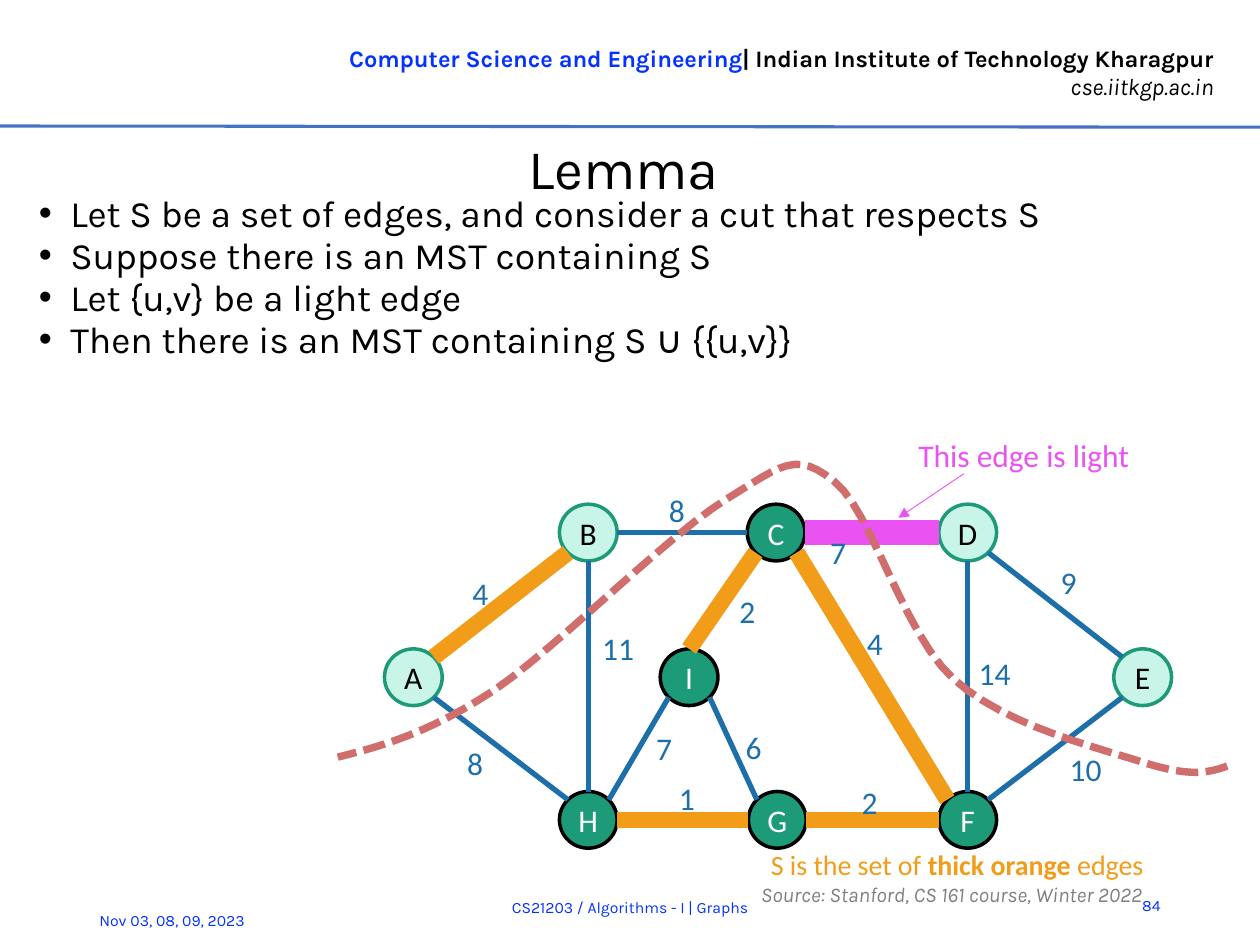
"""Builds a lecture slide on the cut lemma for minimum spanning trees."""
from lxml import etree
from pptx import Presentation
from pptx.dml.color import RGBColor
from pptx.enum.dml import MSO_LINE
from pptx.enum.shapes import MSO_CONNECTOR, MSO_SHAPE
from pptx.enum.text import MSO_ANCHOR, PP_ALIGN
from pptx.oxml.ns import qn
from pptx.util import Pt

STRAIGHT = MSO_CONNECTOR.STRAIGHT
ELLIPSE = MSO_SHAPE.OVAL
DASHED = MSO_LINE.SQUARE_DOT
TOP, MIDDLE = MSO_ANCHOR.TOP, MSO_ANCHOR.MIDDLE
LEFT, CENTER, RIGHT = PP_ALIGN.LEFT, PP_ALIGN.CENTER, PP_ALIGN.RIGHT

BLACK = RGBColor(0x00, 0x00, 0x00)
WHITE = RGBColor(0xFF, 0xFF, 0xFF)
GRAY = RGBColor(0x80, 0x80, 0x80)
BLUE = RGBColor(0x04, 0x32, 0xFF)
RULE_BLUE = RGBColor(0x44, 0x72, 0xC4)
EDGE_BLUE = RGBColor(0x1D, 0x6F, 0xA9)
ORANGE = RGBColor(0xF1, 0x9D, 0x19)
MAGENTA = RGBColor(0xEA, 0x53, 0xF1)
GREEN = RGBColor(0x1D, 0x9A, 0x78)
MINT = RGBColor(0xC8, 0xF5, 0xE8)
CUT_RED = RGBColor(0xCF, 0x6E, 0x6C)

NODE_WIDTH, NODE_HEIGHT = 33, 32.4
UPPER, MIDDLE_ROW, LOWER = 304.3, 387, 468.5
NODES = {
    "D": (553, UPPER, False), "C": (443.5, UPPER, True),
    "B": (336.2, UPPER, False), "A": (236.2, MIDDLE_ROW, False),
    "H": (336.2, LOWER, True), "G": (444.2, LOWER, True),
    "F": (553, LOWER, True), "I": (393.8, MIDDLE_ROW, True),
    "E": (653, MIDDLE_ROW, False),
}
DIAGONAL = 0.71
SIDES = {
    "N": (0, -1), "S": (0, 1), "W": (-1, 0), "E": (1, 0),
    "NW": (-DIAGONAL, -DIAGONAL), "NE": (DIAGONAL, -DIAGONAL),
    "SW": (-DIAGONAL, DIAGONAL), "SE": (DIAGONAL, DIAGONAL),
}
THIN, THICK, LIGHT = (EDGE_BLUE, 3), (ORANGE, 9.5), (MAGENTA, 14)
EDGES = [
    ("C", "SE", "F", "NW", THICK, "4", 488.2, 352.8),
    ("C", "E", "D", "W", LIGHT, "7", 467.3, 301),
    ("E", "NW", "D", "SE", THIN, "9", 599, 318.2),
    ("E", "SW", "F", "NE", THIN, "10", 604.1, 424.8),
    ("D", "S", "F", "N", THIN, "14", 552.2, 370.1),
    ("I", "SE", "G", "NW", THIN, "6", 419, 412.6),
    ("G", "E", "F", "W", THICK, "2", 485.3, 444.2),
    ("I", "N", "C", "SW", THICK, "2", 415.4, 334.8),
    ("B", "E", "C", "W", THIN, "8", 375.1, 277.2),
    ("A", "NE", "B", "SW", THICK, "4", 262.8, 324.7),
    ("A", "SE", "H", "NW", THIN, "8", 259.9, 421.9),
    ("G", "W", "H", "E", THICK, "1", 380.9, 441.4),
    ("I", "SW", "H", "NE", THIN, "7", 367.9, 413.3),
    ("H", "N", "B", "S", THIN, "11", 337, 355.7),
]
CUT_START = (701.3, 437.8)
CUT_CURVES = [
    ((691.2, 441.4), (681.1, 444.2), (655.2, 436.3)),
    ((629.3, 427.7), (575.3, 415.4), (545, 388.1)),
    ((515.5, 361.4), (498.2, 291.6), (476.6, 275)),
    ((455, 257.8), (447.8, 265), (415.4, 285.1)),
    ((383, 304.6), (319, 369.4), (282.2, 394.6)),
    ((244.8, 419), (218.9, 426.2), (193, 432.7)),
]
BULLETS = [
    "Let S be a set of edges, and consider a cut that respects S",
    "Suppose there is an MST containing S",
    "Let {u,v} be a light edge",
    "Then there is an MST containing S ∪ {{u,v}}",
]


def curve_points(start, curves, steps=12):
    """Return points along a chain of cubic Bézier curves."""
    points = [start]
    for first, second, end in curves:
        begin = points[-1]
        for step in range(1, steps + 1):
            t = step / steps
            u = 1 - t
            points.append(tuple(
                u**3 * a + 3 * u * u * t * b + 3 * u * t * t * c + t**3 * d
                for a, b, c, d in zip(begin, first, second, end)))
    return points


def node_point(name, side):
    """Return the point on one side of a node's outline."""
    x, y, _ = NODES[name]
    across, down = SIDES[side]
    return x + across * NODE_WIDTH / 2, y + down * NODE_HEIGHT / 2


class SlideWriter:
    """Holds the text style and the current slide."""

    def __init__(self, page, font="Karla", size=9, color=BLUE):
        self.page = page
        self.font, self.size, self.color = font, size, color

    def style(self, font, size=None, color=None, name=None, bold=False, italic=False):
        """Set a font, falling back on the default style."""
        font.name = name or self.font
        font.size = Pt(size or self.size)
        font.color.rgb = self.color if color is None else color
        font.bold, font.italic = bold, italic

    def text(self, place, lines, align=LEFT, anchor=TOP, wrap=True, **look):
        """Add a text box with one paragraph per line and return its paragraphs."""
        box = self.page.shapes.add_textbox(*map(Pt, place))
        frame = box.text_frame
        frame.text = "\n".join(lines)
        frame.word_wrap, frame.vertical_anchor = wrap, anchor
        for para in frame.paragraphs:
            para.alignment = align
            for span in para.runs:
                self.style(span.font, **look)
        return frame.paragraphs

    def bullets(self, place, lines, **look):
        """Add a bulleted list."""
        for index, para in enumerate(self.text(place, lines, **look)):
            para.line_spacing, para.space_after = Pt(20), Pt(2)
            para.space_before = Pt(2 if index else 0)
            properties = para._p.get_or_add_pPr()
            properties.set("marL", str(Pt(18)))
            properties.set("indent", str(Pt(-18)))
            etree.SubElement(properties, qn("a:buFont"), typeface="Arial")
            etree.SubElement(properties, qn("a:buChar"), char="•")

    def node(self, name, x, y, dark):
        """Add a graph node centred on a point."""
        place = (x - NODE_WIDTH / 2, y - NODE_HEIGHT / 2, NODE_WIDTH, NODE_HEIGHT)
        shape = self.page.shapes.add_shape(ELLIPSE, *map(Pt, place))
        shape.shadow.inherit = False
        shape.fill.solid()
        shape.fill.fore_color.rgb = GREEN if dark else MINT
        shape.line.color.rgb = BLACK if dark else GREEN
        shape.line.width = Pt(2)
        frame = shape.text_frame
        frame.text = name
        frame.vertical_anchor = MIDDLE
        frame.margin_left = frame.margin_right = 0
        para = frame.paragraphs[0]
        para.alignment = CENTER
        self.style(para.runs[0].font, 18, WHITE if dark else BLACK, "Calibri")

    def line(self, start, end, color, width, arrow=False):
        """Add a straight line, with an arrowhead at its end if wanted."""
        line = self.page.shapes.add_connector(STRAIGHT, *map(Pt, start + end))
        line.line.color.rgb = color
        line.line.width = Pt(width)
        if arrow:
            etree.SubElement(line.get_or_add_ln(), qn("a:tailEnd"), type="triangle")
        etree.SubElement(line.element.spPr, qn("a:effectLst"))

    def dashed_curve(self, points, color, width):
        """Add an open dashed outline through the points."""
        start, *rest = [tuple(map(Pt, point)) for point in points]
        builder = self.page.shapes.build_freeform(*start)
        builder.add_line_segments(rest, close=False)
        shape = builder.convert_to_shape()
        shape.shadow.inherit = False
        shape.fill.background()
        shape.line.color.rgb = color
        shape.line.width = Pt(width)
        shape.line.dash_style = DASHED


def main():
    deck = Presentation()
    deck.slide_width, deck.slide_height = Pt(720), Pt(540)
    writer = SlideWriter(deck.slides.add_slide(deck.slide_layouts[6]))

    header, address = writer.text(
        (190.8, 21.6, 509.8, 40.3), ["Computer Science and Engineering", "cse.iitkgp.ac.in"],
        RIGHT, wrap=False, size=13.5, bold=True)
    institute = header.add_run()
    institute.text = "| Indian Institute of Technology Kharagpur"
    writer.style(institute.font, 13.5, BLACK, bold=True)
    writer.style(address.runs[0].font, 13.5, BLACK, italic=True)
    writer.line((0, 72), (720, 72.7), RULE_BLUE, 1.75)

    writer.text((635, 502.6, 35.3, 28.8), ["84"], RIGHT, MIDDLE)
    writer.text((23, 75.6, 666.7, 39.6), ["Lemma"], CENTER, MIDDLE, size=32, color=BLACK)
    writer.text((49.7, 511.2, 126, 28.8), ["Nov 03, 08, 09, 2023"], anchor=MIDDLE)
    writer.text((118.8, 504, 482.4, 28.8), ["CS21203 / Algorithms - I | Graphs"], CENTER, MIDDLE)
    writer.bullets((15.1, 110.9, 674.6, 103.7), BULLETS, size=21.3, color=BLACK)
    source, = writer.text(
        (427.7, 499, 289.4, 16.6), ["Source: Stanford, CS 161 course, Winter 2022"],
        anchor=MIDDLE, size=12, color=GRAY, italic=True)
    source.line_spacing = Pt(21.3)
    legend, = writer.text(
        (433.4, 481, 262.8, 26.6), ["S is the set of "], size=16, color=ORANGE, name="Calibri")
    for words, bold in (("thick orange ", True), ("edges", False)):
        span = legend.add_run()
        span.text = words
        writer.style(span.font, 16, ORANGE, "Calibri", bold)

    for name, place in NODES.items():
        writer.node(name, *place)
    for start, start_side, end, end_side, look, weight, left, top in EDGES:
        writer.line(node_point(start, start_side), node_point(end, end_side), *look)
    for *_, weight, left, top in EDGES:
        writer.text((left, top, 46.8, 26.6), [weight], size=18, color=EDGE_BLUE, name="Calibri")
    writer.dashed_curve(curve_points(CUT_START, CUT_CURVES), CUT_RED, 4.25)
    writer.text((517.7, 245.5, 196.6, 28.8), ["This edge is light"],
                size=18, color=MAGENTA, name="Calibri")
    writer.line((550.8, 270.7), (513.4, 295.9), MAGENTA, 0.5, arrow=True)
    deck.save("out.pptx")


if __name__ == "__main__":
    main()
